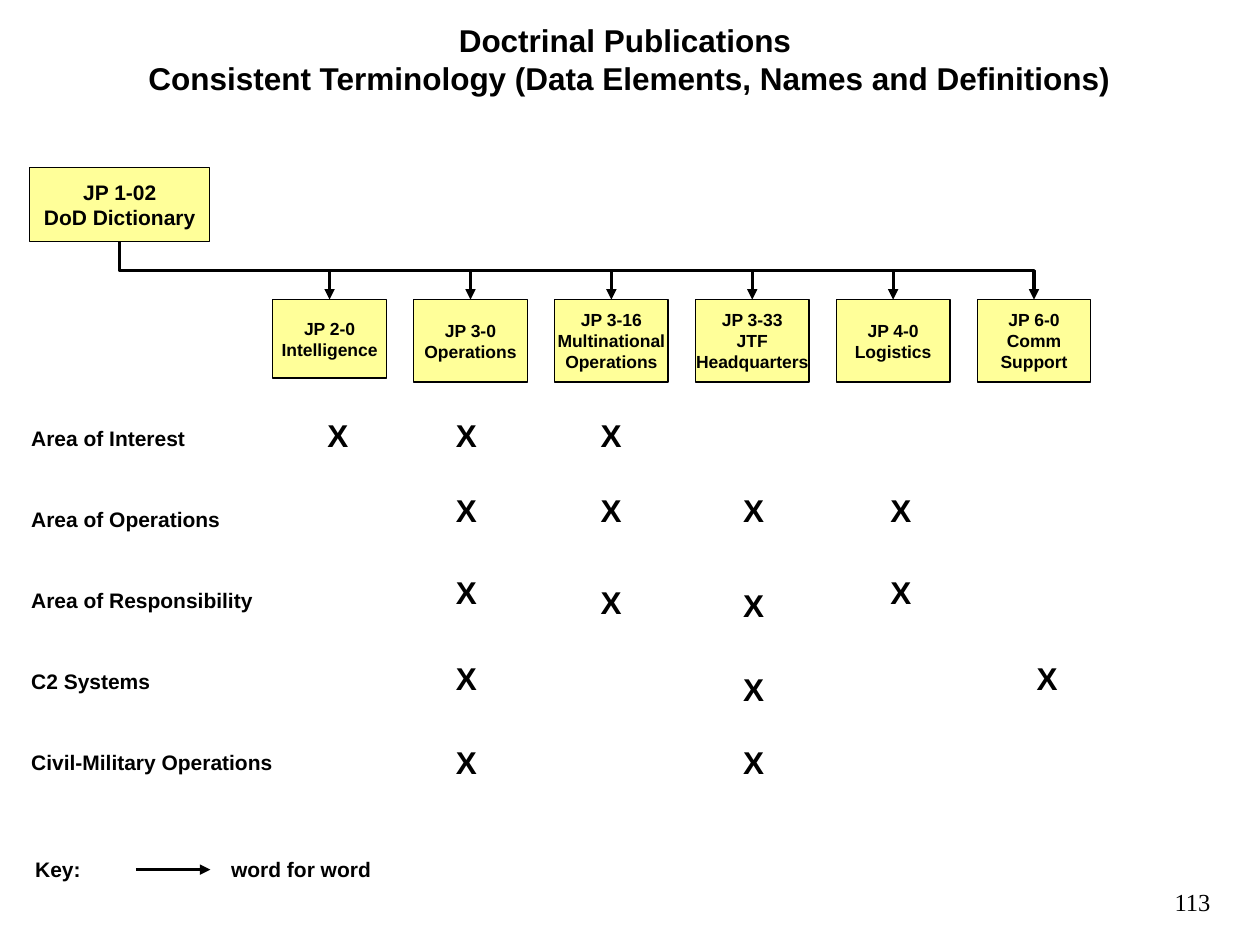
from dataclasses import dataclass
from typing import Dict, Tuple

from pptx import Presentation
from pptx import util as u
from pptx.dml.color import RGBColor
from pptx.enum import shapes, text
from pptx.oxml import ns
from lxml import etree

BLACK, YELLOW = "000000", "FFFF99"
LEFT, CENTER = text.PP_ALIGN.LEFT, text.PP_ALIGN.CENTER

# Grid, in centimetres
BOX_LEFT, BOX_TOP, BOX_PITCH, BOX_WIDTH = 5.5, 6.04, 2.84, 2.29
LABEL_TOP, LABEL_PITCH = 8.46, 1.63
MARK_LEFTS = (6.35, 8.94, 11.86, 14.73, 17.7, 20.65)


@dataclass
class Publication:
    name: str
    height: float = 1.66


@dataclass
class Term:
    name: str
    width: float
    marks: Dict[int, float]  # publication column -> top of its X


PUBLICATIONS = (
    Publication("JP 2-0\nIntelligence", 1.58),
    Publication("JP 3-0\nOperations"),
    Publication("JP 3-16\nMultinational\nOperations"),
    Publication("JP 3-33\nJTF\nHeadquarters"),
    Publication("JP 4-0\nLogistics"),
    Publication("JP 6-0\nComm\nSupport"),
)
TERMS = (
    Term("Area of Interest", 3.61, dict.fromkeys((0, 1, 2), 8.26)),
    Term("Area of Operations", 4.32, dict.fromkeys((1, 2, 3, 4), 9.78)),
    Term("Area of Responsibility", 4.98, {1: 11.43, 2: 11.63, 3: 11.68, 4: 11.43}),
    Term("C2 Systems", 2.9, {1: 13.16, 3: 13.39, 5: 13.16}),
    Term("Civil-Military Operations", 5.38, dict.fromkeys((1, 3), 14.86)),
)


def color(hex_value: str) -> RGBColor:
    return RGBColor.from_string(hex_value)


def write(s, words: str, size: float, align=CENTER, font: str = "Arial", bold: bool = True):
    tf = s.text_frame
    tf.text = words
    tf.word_wrap = False
    for p in tf.paragraphs:
        p.alignment = align
        for r in p.runs:
            r.font.name, r.font.size, r.font.bold = font, u.Pt(size), bold
            r.font.color.rgb = color(BLACK)
    return tf


def add_text(sp, at: Tuple[float, float, float, float], words: str, size: float, align=LEFT):
    tf = write(sp.add_textbox(*map(u.Cm, at)), words, size, align)
    tf.auto_size = text.MSO_AUTO_SIZE.SHAPE_TO_FIT_TEXT
    return tf


def add_box(sp, at: Tuple[float, float, float, float], words: str, size: float):
    s = sp.add_shape(shapes.MSO_SHAPE.RECTANGLE, *map(u.Cm, at))
    s.shadow.inherit = False
    s.fill.solid()
    s.fill.fore_color.rgb = color(YELLOW)
    s.line.color.rgb = color(BLACK)
    s.line.width = u.Pt(0.75)
    write(s, words, size).vertical_anchor = text.MSO_ANCHOR.MIDDLE
    return s


def style_arrow(c) -> None:
    c.line.color.rgb = color(BLACK)
    c.line.width = u.Pt(1.75)
    etree.SubElement(c.line._get_or_add_ln(), ns.qn("a:tailEnd"), type="triangle")
    etree.SubElement(c._element.spPr, ns.qn("a:effectLst"))


def add_branch(sp, parent, child) -> None:
    """Elbow arrow from the bottom of parent to the top of child."""
    c = sp.add_connector(shapes.MSO_CONNECTOR.ELBOW, 0, 0, 0, 0)
    c.begin_connect(parent, 2)
    c.end_connect(child, 0)
    x1, y1, x2, y2 = c.begin_x, c.begin_y, c.end_x, c.end_y
    dx, dy = x2 - x1, y2 - y1
    # Turned a quarter so that the elbow leaves and arrives vertically
    c.left, c.top = (x1 + x2 - dy) // 2, (y1 + y2 - dx) // 2
    c.width, c.height = dy, dx
    xfrm = c._element.spPr.find(ns.qn("a:xfrm"))
    xfrm.set("rot", "16200000")
    xfrm.set("flipH", "1")
    style_arrow(c)


def main() -> None:
    prs = Presentation()
    prs.slide_width, prs.slide_height = u.Cm(25.4), u.Cm(19.05)
    sp = prs.slides.add_slide(prs.slide_layouts[6]).shapes

    # Title
    add_text(sp, (2.72, 0.3, 19.94, 1.78),
             "Doctrinal Publications \n"
             "Consistent Terminology (Data Elements, Names and Definitions)", 18, CENTER)

    # Dictionary and the publications below it
    dictionary = add_box(sp, (0.6, 3.38, 3.63, 1.49), "JP 1-02\nDoD Dictionary", 12)
    for i, pub in enumerate(PUBLICATIONS):
        at = (BOX_LEFT + i * BOX_PITCH, BOX_TOP, BOX_WIDTH, pub.height)
        add_branch(sp, dictionary, add_box(sp, at, pub.name, 10))

    # Terms and their marks
    for i, term in enumerate(TERMS):
        add_text(sp, (0.38, LABEL_TOP + i * LABEL_PITCH, term.width, 0.76), term.name, 12)
        for column, top in term.marks.items():
            add_text(sp, (MARK_LEFTS[column], top, 0.94, 1.02), "X", 18)

    # Key
    tf = add_text(sp, (0.46, 17.15, 7.42, 0.76), "Key:\tword for word", 12)
    tf.word_wrap = True
    tabs = etree.SubElement(tf.paragraphs[0]._p.get_or_add_pPr(), ns.qn("a:tabLst"))
    etree.SubElement(tabs, ns.qn("a:tab"), pos=str(u.Cm(3.95)), algn="l")
    style_arrow(sp.add_connector(shapes.MSO_CONNECTOR.STRAIGHT,
                                 *map(u.Cm, (2.74, 17.53, 4.24, 17.53))))

    # Page number
    s = sp.add_textbox(*map(u.Cm, (23.29, 17.55, 1.5, 1.27)))
    tf = write(s, "113", 14, font="Times New Roman", bold=False)
    tf.word_wrap = True
    tf.vertical_anchor = text.MSO_ANCHOR.MIDDLE

    prs.save("out.pptx")


if __name__ == "__main__":
    main()
